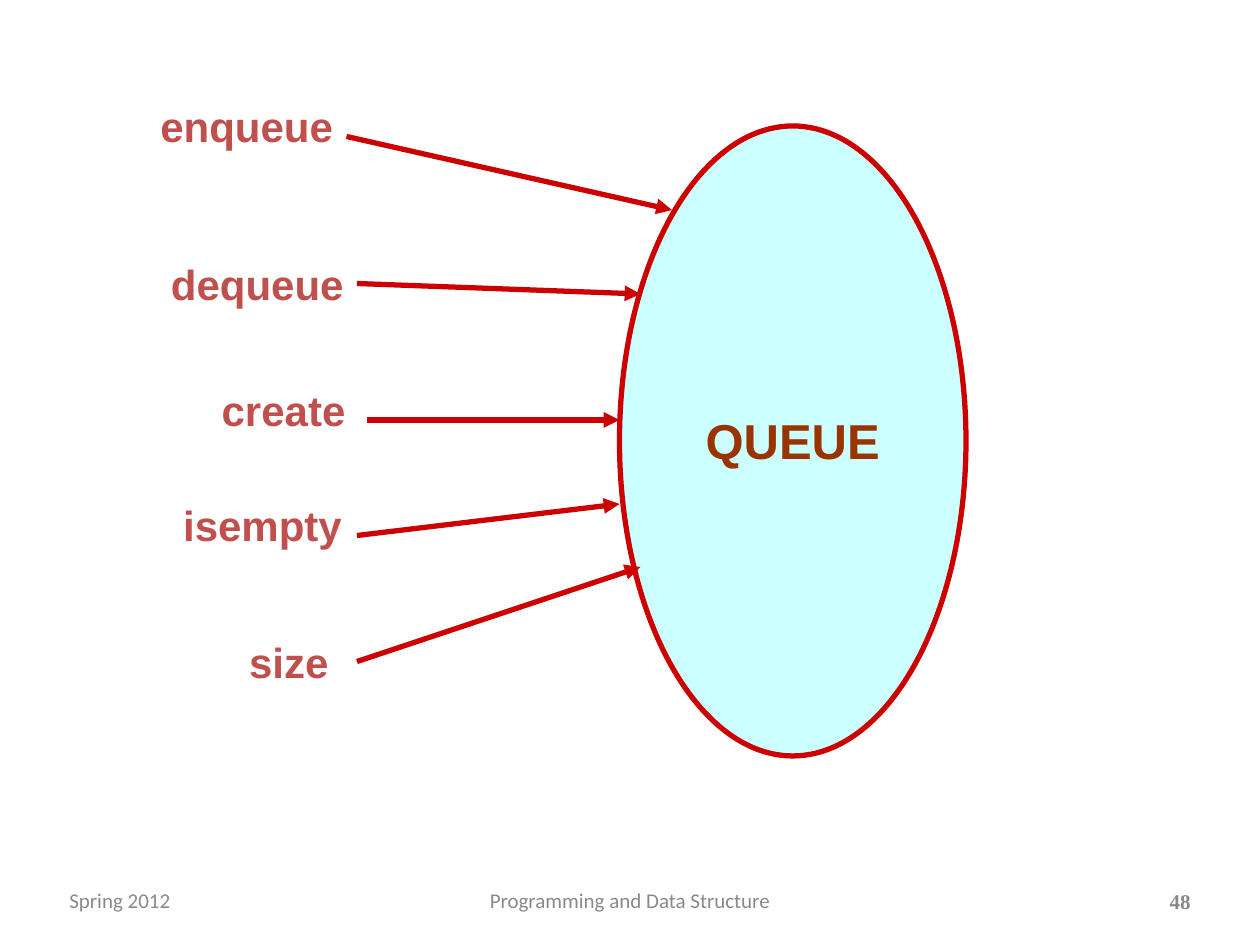
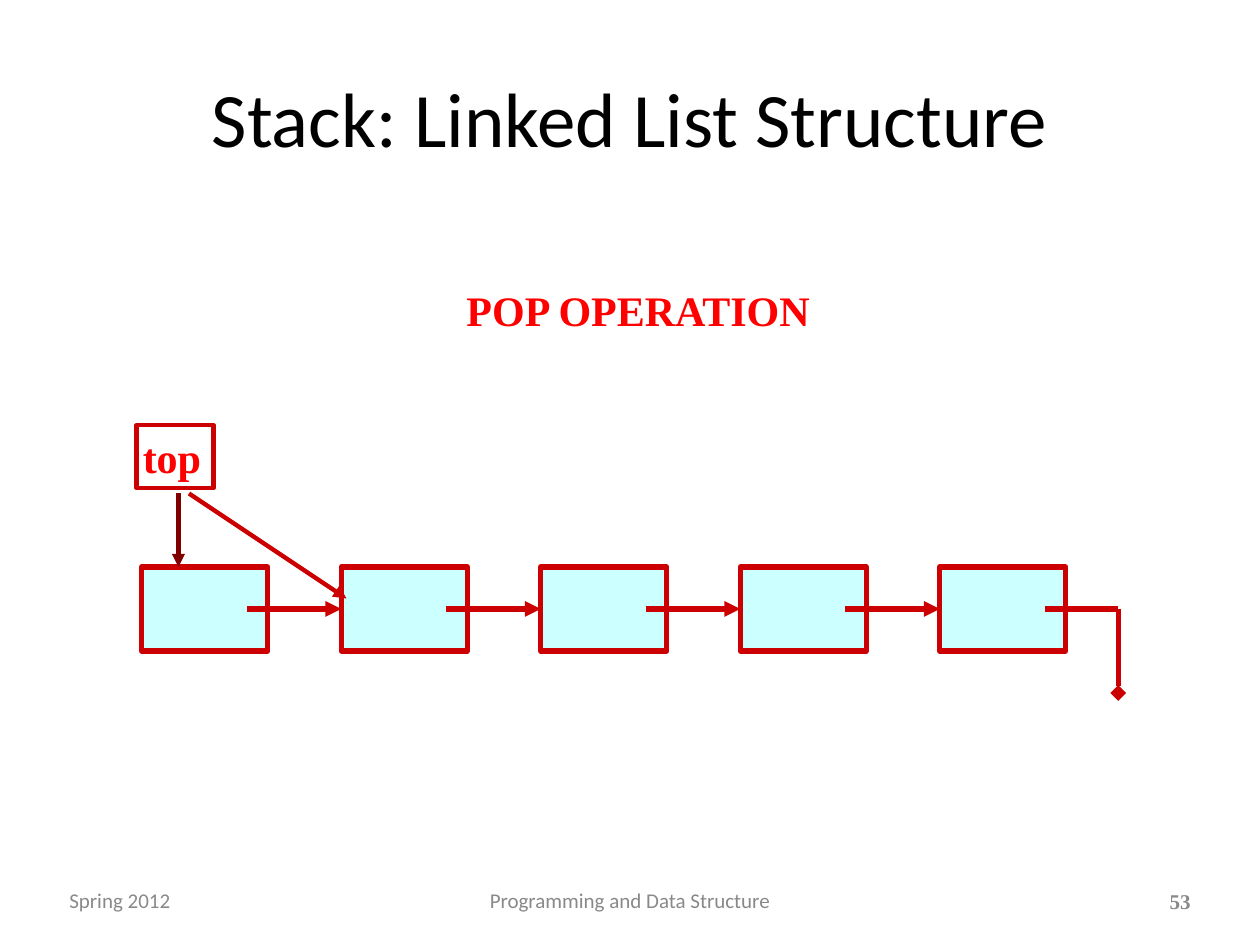
from dataclasses import dataclass

from lxml.etree import SubElement as Sub
from pptx import Presentation
from pptx.dml.color import RGBColor as RGB
from pptx.enum.shapes import MSO_CONNECTOR as Link, MSO_SHAPE as Kind
from pptx.enum.text import MSO_ANCHOR as Anchor, PP_ALIGN as Align
from pptx.oxml.ns import qn
from pptx.util import Pt


@dataclass(frozen=True)
class Style:
    """A font, its size, weight and colour."""
    font: str
    size: float
    color: str
    bold: bool = False


@dataclass(frozen=True)
class Theme:
    """Colours, line widths and type styles of the deck."""
    fill: str = "CCFFFF"
    edge: str = "CC0000"
    dark: str = "800000"
    thick: float = 3
    thin: float = 2.5
    inset: float = 3.6
    title: Style = Style("Calibri", 44, "000000")
    foot: Style = Style("Calibri", 12, "898989")
    page: Style = Style("Times New Roman", 12, "898989", True)
    label: Style = Style("Arial", 24, "C0504D", True)
    core: Style = Style("Arial", 28, "993300", True)
    note: Style = Style("Times New Roman", 24, "FF0000", True)


THEME = Theme()


def write(shape, text, style, align=Align.LEFT, anchor=Anchor.TOP, wrap=True):
    """Put one styled run into a shape."""
    frame = shape.text_frame
    frame.word_wrap = wrap
    frame.vertical_anchor = anchor
    frame.margin_left = frame.margin_right = Pt(THEME.inset)
    frame.margin_top = frame.margin_bottom = Pt(THEME.inset)
    para = frame.paragraphs[0]
    para.alignment = align
    run = para.add_run()
    run.text = text
    run.font.name = style.font
    run.font.size = Pt(style.size)
    run.font.bold = style.bold
    run.font.color.rgb = RGB.from_string(style.color)


def add_text(slide, box, text, style, **opts):
    """Add a text box at left, top, width, height."""
    write(slide.shapes.add_textbox(*map(Pt, box)), text, style, **opts)


def add_title(slide, text):
    """Fill and place the title placeholder."""
    title = slide.shapes.title
    title.left, title.top, title.width, title.height = map(Pt, (36, 21.6, 648, 90))
    write(title, text, THEME.title, Align.CENTER, Anchor.MIDDLE)


def add_foot(slide, page):
    """Add the term, the course and the page number."""
    mid = Anchor.MIDDLE
    add_text(slide, (36, 504, 168, 21), "Spring 2012", THEME.foot, anchor=mid)
    add_text(slide, (246, 504, 228, 21), "Programming and Data Structure",
             THEME.foot, align=Align.CENTER, anchor=mid)
    add_text(slide, (664, 504, 20, 21.6), str(page), THEME.page,
             align=Align.RIGHT, anchor=mid, wrap=False)


def add_shape(slide, kind, box, fill=THEME.fill, width=THEME.thick):
    """Add an outlined shape, filled unless fill is None."""
    shape = slide.shapes.add_shape(kind, *map(Pt, box))
    shape.shadow.inherit = False
    if fill:
        shape.fill.solid()
        shape.fill.fore_color.rgb = RGB.from_string(fill)
    else:
        shape.fill.background()
    shape.line.color.rgb = RGB.from_string(THEME.edge)
    shape.line.width = Pt(width)
    return shape


def add_line(slide, start, end, tip="triangle", color=THEME.edge, width=THEME.thick):
    """Add a straight line with an optional tip at its end."""
    line = slide.shapes.add_connector(Link.STRAIGHT, *map(Pt, start + end))
    line.line.color.rgb = RGB.from_string(color)
    line.line.width = Pt(width)
    if tip:
        Sub(line.line._get_or_add_ln(), qn("a:tailEnd"), type=tip)
    Sub(line._element.spPr, qn("a:effectLst"))


def draw_queue(deck):
    """Show the queue and the operations that act on it."""
    slide = deck.slides.add_slide(deck.slide_layouts[6])
    add_foot(slide, 48)
    add_shape(slide, Kind.OVAL, (354, 72, 198, 360))
    add_text(slide, (399, 232.5, 108, 38), "QUEUE", THEME.core,
             align=Align.CENTER, anchor=Anchor.MIDDLE, wrap=False)
    calls = (
        ("enqueue", (84, 54, 114), (198, 78), (384, 120)),
        ("dequeue", (90, 144, 114), (204, 162), (366, 168)),
        ("create", (114, 216, 96), (210, 240), (354, 240)),
        ("isempty", (90, 282, 120), (204, 306), (354, 288)),
        ("size", (120, 360, 90), (204, 378), (366, 324)),
    )
    for name, place, start, end in calls:
        add_line(slide, start, end)
        add_text(slide, place + (34.5,), name, THEME.label, align=Align.CENTER)


def draw_pop(deck):
    """Show how pop moves top to the second node."""
    slide = deck.slides.add_slide(deck.slide_layouts[5])
    add_title(slide, "Stack: Linked List Structure")
    add_foot(slide, 53)
    count, step, mid = 5, 114, 348
    lefts = [81 + step * i for i in range(count)]
    for left in lefts:
        add_shape(slide, Kind.RECTANGLE, (left, mid - 24, 72, 48))
    for left in lefts[:-1]:
        add_line(slide, (left + 60, mid), (left + step, mid))
    bend = (lefts[-1] + 102, mid)
    add_line(slide, (lefts[-1] + 60, mid), bend, tip=None)
    add_line(slide, bend, (bend[0], mid + 48), tip="diamond")

    top = add_shape(slide, Kind.RECTANGLE, (78, 243, 44, 36), None, THEME.thin)
    write(top, "top", THEME.note, wrap=False)
    add_line(slide, (102, 282), (102, 324), color=THEME.dark, width=THEME.thin)
    add_text(slide, (263, 159, 204.5, 33), "POP OPERATION", THEME.note, wrap=False)
    add_line(slide, (108, 282), (198, 342), width=THEME.thin)


def main():
    """Build and save the deck."""
    deck = Presentation()
    deck.slide_width, deck.slide_height = Pt(720), Pt(540)
    draw_queue(deck)
    draw_pop(deck)
    deck.save("out.pptx")


if __name__ == "__main__":
    main()
